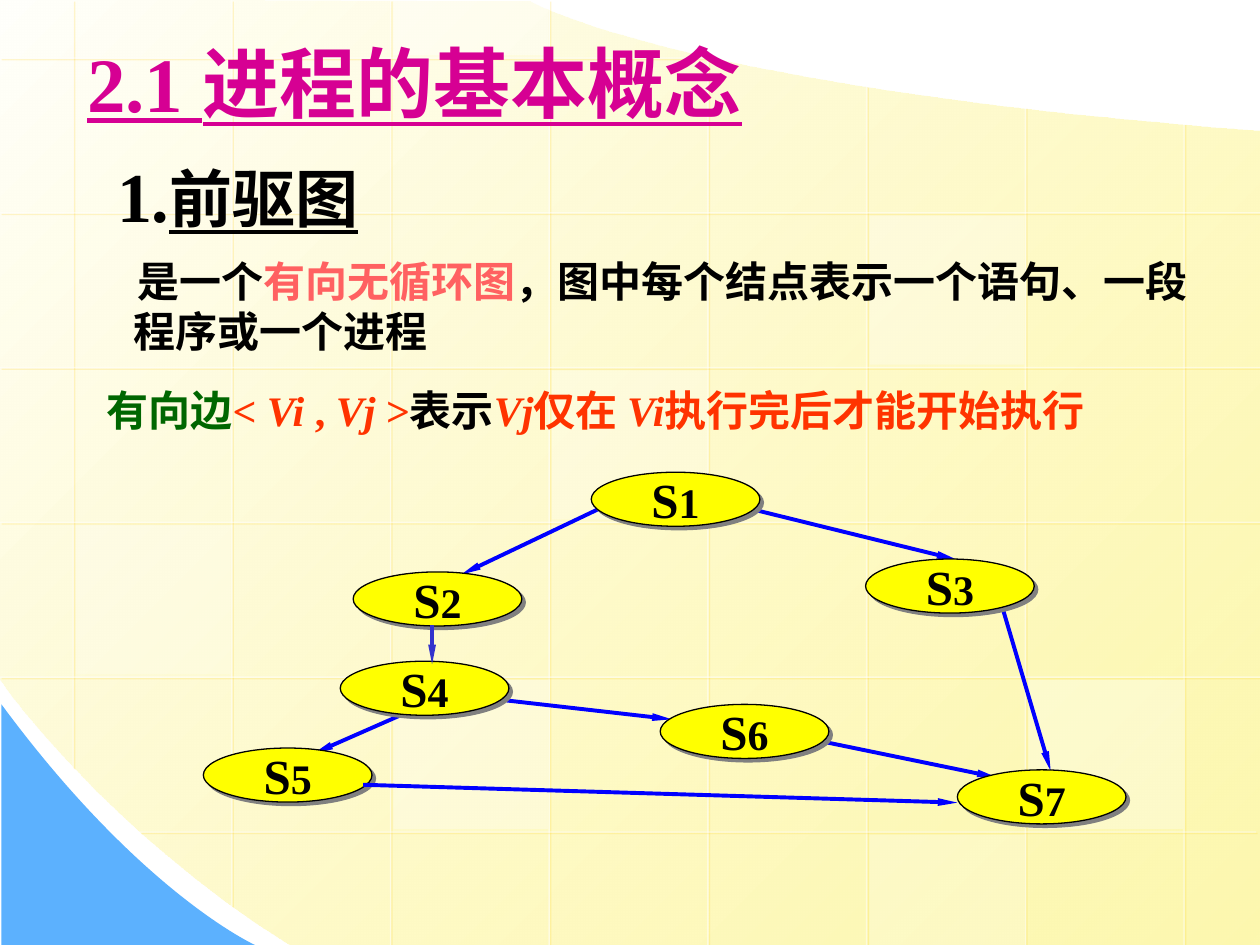
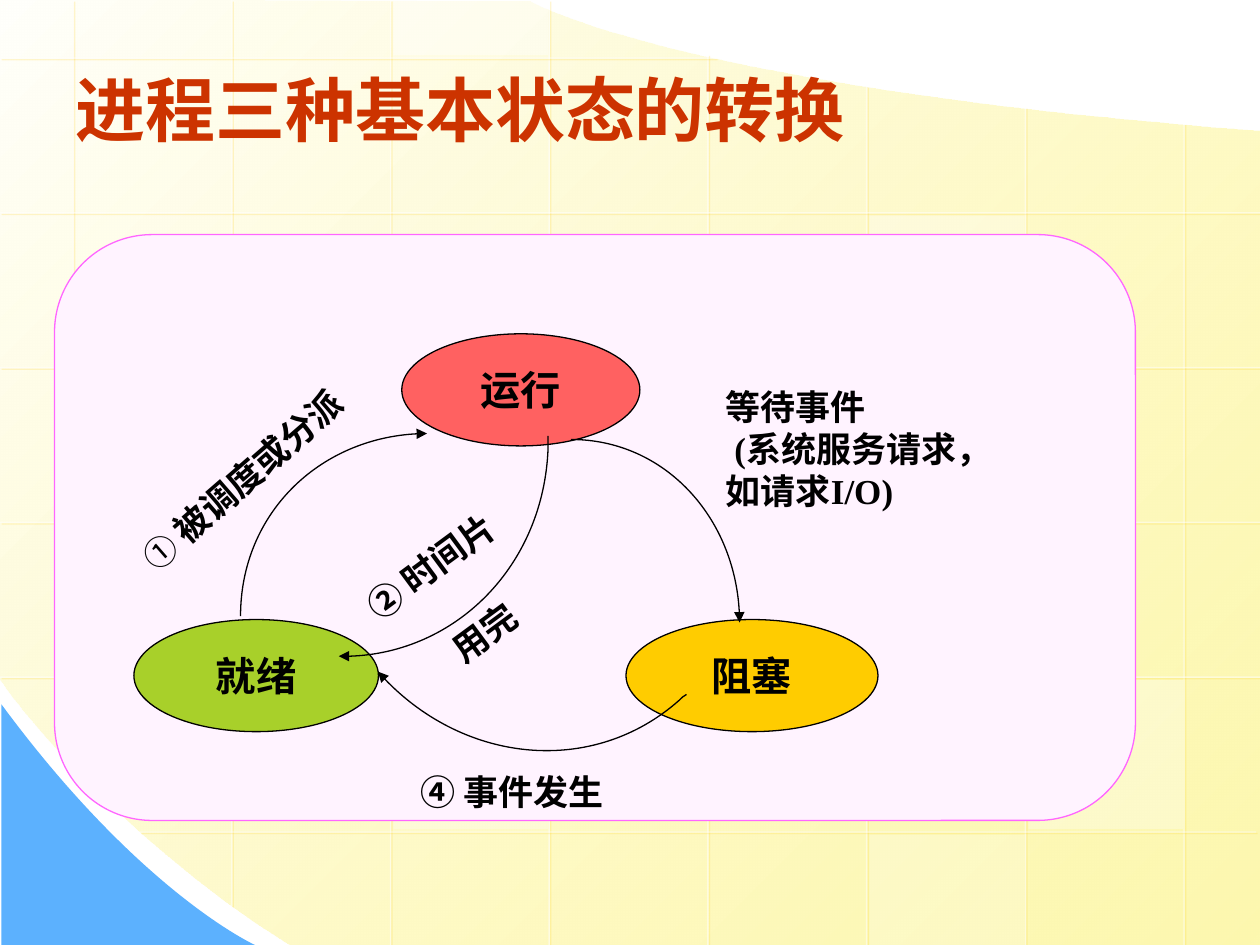
import lxml.etree
import pptx
import pptx.util
import pptx.dml.color
import pptx.enum.shapes
import pptx.enum.text
import pptx.oxml.ns

Cm = pptx.util.Cm
Pt = pptx.util.Pt
RGB = pptx.dml.color.RGBColor.from_string
qn = pptx.oxml.ns.qn
sub = lxml.etree.SubElement
kind = pptx.enum.shapes.MSO_SHAPE
straight = pptx.enum.shapes.MSO_CONNECTOR.STRAIGHT
anchor = pptx.enum.text.MSO_ANCHOR
align = pptx.enum.text.PP_ALIGN

serif = "Times New Roman"
sans = "Arial"
hues = {
    "black": "000000", "white": "FFFFFF", "cream": "FFFFFB", "straw": "FDF58D",
    "sky": "5CB1FE", "gold": "FFCC00", "coral": "FF6161", "green": "006600",
    "red": "FF3300", "yellow": "FFFF00", "blue": "0000FF", "navy": "3333CC",
    "gray": "808080", "magenta": "D60093", "brick": "CC3300", "pink": "FFF3FF",
    "rose": "FF66FF", "lime": "A8D02A",
}


def trace(slide, start, steps, hub=None):
    dots, bends = [], []
    for step in steps:
        if len(step) == 3:
            bends.append(len(dots))
        dots += step if len(step) == 3 else [step]
    dots = [(Cm(x), Cm(y)) for x, y in dots]
    start = tuple(map(Cm, start))
    pen = slide.shapes.build_freeform(*start, scale=1.0)
    pen.add_line_segments(dots, close=not hub)
    if hub:
        pen.move_to(*start)
        pen.add_line_segments([*dots, tuple(map(Cm, hub))], close=True)
    shape = pen.convert_to_shape()
    shape.shadow.inherit = False
    path = next(shape._element.iter(qn("a:path")))
    parts = [path]
    if hub:
        wedge = lxml.etree.Element(qn("a:path"), w=path.get("w"), h=path.get("h"), stroke="0")
        for move in list(path)[len(dots) + 1:]:
            wedge.append(move)
        path.addnext(wedge)
        path.set("fill", "none")
        parts.append(wedge)
    for part in parts:
        legs = part.findall(qn("a:lnTo"))
        for i in bends:
            curve = lxml.etree.Element(qn("a:cubicBezTo"))
            legs[i].addprevious(curve)
            for leg in legs[i:i + 3]:
                curve.append(leg[0])
                part.remove(leg)
    return shape


def write(shape, lines, font=serif, side=align.LEFT, level=anchor.TOP, wrap=True):
    frame = shape.text_frame
    frame.word_wrap = wrap
    frame.auto_size = pptx.enum.text.MSO_AUTO_SIZE.NONE
    frame.vertical_anchor = level
    for i, line in enumerate(lines):
        para = frame.add_paragraph() if i else frame.paragraphs[0]
        para.alignment = side
        for text, size, hue, style in line:
            run = para.add_run()
            run.text = text
            run.font.name = font
            run.font.size = Pt(size)
            run.font.color.rgb = RGB(hues[hue])
            run.font.bold = "b" in style
            run.font.italic = "i" in style
            run.font.underline = "u" in style
    return frame


deck = pptx.Presentation()
deck.slide_width, deck.slide_height = Cm(25.4), Cm(19.05)
layout = deck.slide_layouts[5]
graph = deck.slides.add_slide(layout)

sheet = trace(graph, (25.4, 2.64), [
    ((25.4, 10.85), (25.4, 19.05), (25.4, 19.05)),
    ((25.4, 19.05), (15.62, 19.05), (5.84, 19.05)),
    ((2.18, 16.79), (-0.03, 13.69), (0, 13.69)),
    (-0.03, -0.03), (10.69, 0.03),
    ((10.69, 0.03), (13.64, 1.75), (25.4, 2.64))])
sheet.fill.gradient()
sheet.fill.gradient_angle = 315
for stop, hue in zip(sheet.fill.gradient_stops, ("cream", "straw")):
    stop.color.rgb = RGB(hues[hue])
tints = list(sheet._element.spPr.iter(qn("a:srgbClr")))
sub(tints[-1], qn("a:alpha"), val="70000")
sheet.line.fill.background()

corner = trace(graph, (0.03, 14.2), [
    ((0.03, 16.64), (0.03, 19.05), (0.03, 19.05)), (5.14, 19.05),
    ((5.14, 19.05), (2.84, 18.01), (0.03, 14.2))])
corner.fill.solid()
corner.fill.fore_color.rgb = RGB(hues["sky"])
corner.line.fill.background()

tops = [0, 0, 0, 0, 1.09, 1.73, 2.16, 2.49]
ends = [15.47, 18.26, 19.05] + [19.1] * 5
spans = [(0, 14.43)] + [(0, 25.42)] * 4 + [(2.82, 25.32)]
rules = [(1.47 + 3.2 * i, top, 1.47 + 3.2 * i, end)
         for i, (top, end) in enumerate(zip(tops, ends))]
rules += [(right, 1.17 + 3.12 * i, left, 1.17 + 3.12 * i)
          for i, (left, right) in enumerate(spans)]
for rule in rules:
    line = graph.shapes.add_connector(straight, *map(Cm, rule))
    line.line.width = Pt(0.75)
    line.line.color.rgb = RGB(hues["white"])
    props = line._element.spPr
    sub(next(props.iter(qn("a:srgbClr"))), qn("a:alpha"), val="50000")
    glow = sub(sub(props, qn("a:effectLst")), qn("a:outerShdw"), dist="17780", dir="2700000")
    tint = sub(glow, qn("a:srgbClr"), val=hues["gold"])
    sub(tint, qn("a:alpha"), val="34000")

for col, row, clear in [(3, 2, 25), (6, 4, 30), (0, 3, 20), (5, 5, 20),
                        (2, -1, 40), (2, 4, 30), (5, 1, 30)]:
    top = max(0, 1.23 + 3.12 * row)
    base = min(19.05, 4.23 + 3.12 * row)
    tile = graph.shapes.add_shape(
        kind.RECTANGLE, Cm(1.53 + 3.2 * col), Cm(top), Cm(3.12), Cm(base - top))
    tile.shadow.inherit = False
    tile.fill.solid()
    tile.fill.fore_color.rgb = RGB(hues["white"])
    tile.line.fill.background()
    tint = next(tile._element.spPr.iter(qn("a:srgbClr")))
    sub(tint, qn("a:alpha"), val=str(clear * 1000))

for shape in list(graph.shapes):
    if not shape.is_placeholder:
        layout.shapes.element.append(shape._element)
states = deck.slides.add_slide(layout)

for slide, box, text, size, hue, style, font, level in [
    (graph, (1.5, 0.58, 18.8, 2.11), "2.1 进程的基本概念", 44, "magenta", "bu", serif, anchor.TOP),
    (states, (1.27, 0.91, 22.86, 2.57), "进程三种基本状态的转换", 40, "brick", "b", sans, anchor.MIDDLE),
]:
    title = slide.shapes.title
    title.left, title.top, title.width, title.height = map(Cm, box)
    frame = write(title, [[(text, size, hue, style)]], font, level=level)

effect = lxml.etree.Element(qn("a:effectLst"))
shade = sub(effect, qn("a:outerShdw"), dist="35560", dir="2700000")
sub(shade, qn("a:srgbClr"), val=hues["white"])
frame.paragraphs[0].runs[0]._r.rPr.insert(1, effect)

box = graph.shapes.add_textbox(*map(Cm, (1.5, 5.02, 23.39, 2.5)))
frame = write(box, [[
    ("是一个", 24, "black", "b"),
    ("有向无循环图", 24, "coral", "b"),
    ("，图中每个结点表示一个语句、一段程序或一个进程", 24, "black", "b")]], sans)
props = frame.paragraphs[0]._p.get_or_add_pPr()
props.set("marL", str(Cm(0.95)))
props.set("indent", str(Cm(0.08)))

box = graph.shapes.add_textbox(*map(Cm, (2.11, 2.95, 10.39, 1.96)))
write(box, [[("1.", 40, "black", "b"), ("前驱图", 36, "black", "bu")]])

box = graph.shapes.add_textbox(*map(Cm, (1.9, 7.49, 20.5, 1.45)))
write(box, [[
    ("有向边", 24, "green", "b"), ("<", 24, "red", "b"), (" Vi ", 24, "red", "bi"),
    (", ", 24, "red", "b"), ("Vj", 24, "red", "bi"), (" >", 24, "red", "b"),
    ("表示", 24, "black", "b"), ("Vj", 24, "red", "bi"), ("仅在 ", 24, "red", "b"),
    ("Vi", 24, "red", "bi"), ("执行完后才能开始执行", 24, "red", "b"),
    (" ", 28, "red", "b")]])

for part in [
    ("blue", 20.22, 12.29, 21.18, 15.54),
    ("blue", 10.21, 14.12, 13.54, 14.5),
    ("blue", 15.14, 10.26, 19.28, 11.28),
    ("blue", 16.54, 14.94, 20.09, 15.67),
    ("blue", 8.23, 14.35, 6.32, 15.19),
    ("blue", 12.07, 10.26, 9.3, 11.58),
    ("1", 11.92, 9.52), ("3", 17.45, 11.27), ("7", 19.3, 15.52), ("6", 13.31, 14.2),
    ("4", 6.86, 13.33), ("2", 7.12, 11.53), ("5", 4.1, 15.08),
    ("blue", 7.32, 15.82, 19.3, 16.18),
    ("navy", 8.71, 12.6, 8.71, 13.39),
]:
    name, *spot = part
    if name in hues:
        edge = graph.shapes.add_connector(straight, *map(Cm, spot))
        edge.line.width = Pt(2.25)
        edge.line.color.rgb = RGB(hues[name])
        props = edge._element.spPr
        sub(props.find(qn("a:ln")), qn("a:tailEnd"), type="triangle", w="sm", len="lg")
        sub(props, qn("a:effectLst"))
        continue
    node = graph.shapes.add_shape(kind.OVAL, *map(Cm, (*spot, 3.4, 1.09)))
    node.shadow.inherit = False
    node.fill.solid()
    node.fill.fore_color.rgb = RGB(hues["yellow"])
    node.line.width = Pt(0.75)
    node.line.color.rgb = RGB(hues["black"])
    effect = node._element.spPr.find(qn("a:effectLst"))
    shade = sub(effect, qn("a:outerShdw"), dist="35560", dir="2700000")
    sub(shade, qn("a:srgbClr"), val=hues["gray"])
    write(node, [[("S", 28, "black", "b"), (name, 24, "black", "b")]],
          side=align.CENTER, level=anchor.MIDDLE, wrap=False)

for form, box, fill, edge, text in [
    (kind.ROUNDED_RECTANGLE, (1.1, 4.73, 21.79, 11.81), "pink", "rose", ""),
    (kind.OVAL, (8.1, 6.73, 4.8, 2.26), "coral", "black", "运行"),
    (kind.OVAL, (2.7, 12.49, 4.93, 2.26), "lime", "black", "就绪"),
    (kind.OVAL, (12.62, 12.49, 5.08, 2.26), "gold", "black", "阻塞"),
]:
    state = states.shapes.add_shape(form, *map(Cm, box))
    state.shadow.inherit = False
    state.fill.solid()
    state.fill.fore_color.rgb = RGB(hues[fill])
    state.line.width = Pt(0.75)
    state.line.color.rgb = RGB(hues[edge])
    if text:
        write(state, [[(text, 23, "black", "b")]],
              side=align.CENTER, level=anchor.MIDDLE, wrap=False)

for start, steps, hub in [
    ((11.51, 8.86), [((13.39, 8.86), (14.91, 10.52), (14.91, 12.55))], (11.51, 12.55)),
    ((4.85, 12.42), [((4.85, 10.36), (6.53, 8.74), (8.61, 8.74))], (8.61, 12.42)),
    ((11.05, 8.79), [((11.05, 8.86), (11.05, 8.94), (11.05, 9.02)),
                     ((10.97, 11.4), (9.09, 13.28), (6.83, 13.23))], (6.96, 8.89)),
    ((13.84, 14), [((13.79, 14.02), (13.74, 14.07), (13.69, 14.12)),
                   ((11.96, 15.65), (9.25, 15.39), (7.62, 13.54))], (10.72, 10.8)),
]:
    arc = trace(states, start, steps, hub)
    arc.fill.background()
    arc.line.width = Pt(0.75)
    arc.line.color.rgb = RGB(hues["black"])
    sub(arc._element.spPr.find(qn("a:ln")), qn("a:tailEnd"), type="triangle")

for box, turn, lines in [
    ((14.45, 7.74, 5.8, 2.62), 0, [
        [("等待事件", 20, "black", "b")],
        [(" (系统服务请求，", 20, "black", "b")],
        [("如请求I/O)", 20, "black", "b")]]),
    ((2.1, 8.72, 6.07, 1.47), 319, [
        [("➀ ", 19, "black", ""), ("被调度或分派", 20, "black", "b")]]),
    ((6.93, 10.26, 4.09, 1.85), 323.5, [[("➁ 时间片", 20, "black", "b")]]),
    ((8.82, 11.66, 2.29, 1.85), 323.5, [[("用完", 20, "black", "b")]]),
    ((8.3, 15.18, 5, 1.55), 0, [[("➃ 事件发生", 20, "black", "b")]]),
]:
    label = states.shapes.add_textbox(*map(Cm, box))
    label.rotation = turn
    frame = write(label, lines, level=anchor.MIDDLE)
    frame.margin_left = frame.margin_right = Cm(0.18)
    frame.margin_top = frame.margin_bottom = Cm(0.08)

deck.save("out.pptx")
